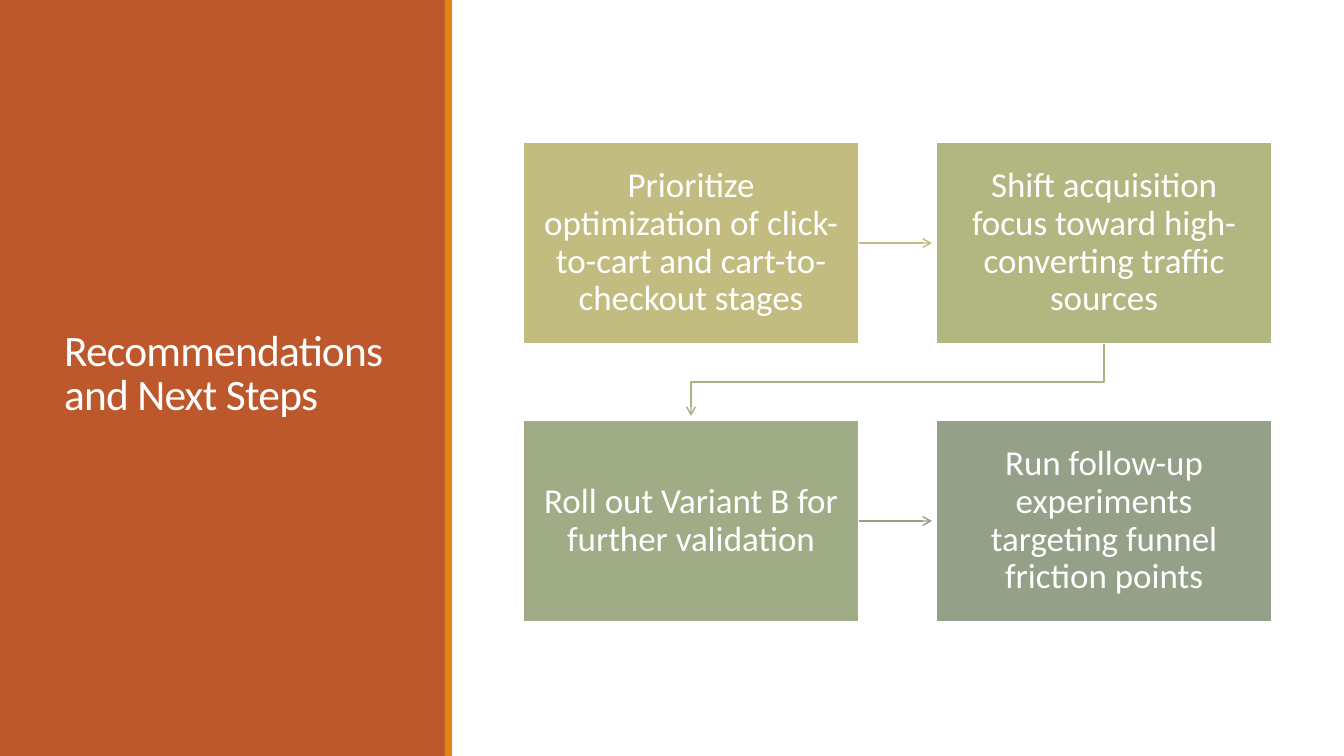
"""Build the Recommendations and Next Steps slide: a title panel and four linked steps."""
from pptx import Presentation
from pptx import util as u
from pptx.dml.color import RGBColor
from pptx.enum import shapes, text
from pptx.oxml.ns import qn
from lxml import etree

TITLE = "Recommendations and Next Steps"
STEPS = [
    ("Prioritize optimization of click-to-cart and cart-to-checkout stages", "C2BC80"),
    ("Shift acquisition focus toward high-converting traffic sources", "B2B782"),
    ("Roll out Variant B for further validation", "A0AC85"),
    ("Run follow-up experiments targeting funnel friction points", "94A088"),
]
ROW_ARROWS = [(0, "C2BC80"), (2, "94A088")]
TURN_COLOR = "A8B283"
WHITE, PANEL, STRIPE = "FFFFFF", "BD582C", "E48312"
FONT = "Calibri"

SLIDE_SIZE = (1344, 756)
PANEL_BOX = (0, 0, 446, 756)
STRIPE_BOX = (445, 0, 7, 756)
TITLE_BOX = (54, 57, 340, 636)
GRID_LEFT, GRID_TOP = 523, 142
STEP_WIDTH, STEP_HEIGHT = 336, 202
COLUMN_PITCH, ROW_PITCH = 413, 278
ARROW_GAP = 4
COLUMNS = 2


def px(value):
    return round(value * 914400 / 100.8)


def color(value):
    return RGBColor.from_string(value)


def assign(target, **values):
    for name, value in values.items():
        setattr(target, name, value)


def add_box(slide, box, fill, outline=None):
    shape = slide.shapes.add_shape(shapes.MSO_SHAPE.RECTANGLE, *map(px, box))
    shape.shadow.inherit = False
    shape.fill.solid()
    shape.fill.fore_color.rgb = color(fill)
    if outline:
        shape.line.color.rgb = color(outline)
        shape.line.width = u.Pt(1.25)
    else:
        shape.line.fill.background()
    return shape


def write(shape, words, size, frame_format, paragraph_format):
    frame = shape.text_frame
    assign(frame, word_wrap=True, auto_size=text.MSO_AUTO_SIZE.NONE,
           vertical_anchor=text.MSO_ANCHOR.MIDDLE, **frame_format)
    paragraph = frame.paragraphs[0]
    assign(paragraph, **paragraph_format)
    run = paragraph.add_run()
    run.text = words
    assign(run.font, name=FONT, size=u.Pt(size))
    run.font.color.rgb = color(WHITE)
    return run


def style_arrow(shape, stroke):
    shape.line.color.rgb = color(stroke)
    shape.line.width = u.Pt(1)
    line = shape.line._get_or_add_ln()
    etree.SubElement(line, qn("a:tailEnd"), type="arrow")
    properties = shape.element.spPr
    if properties.find(qn("a:effectLst")) is None:
        etree.SubElement(properties, qn("a:effectLst"))


def add_title(slide, panel):
    title = slide.shapes.title
    panel.element.addnext(title.element)
    assign(title, **dict(zip(("left", "top", "width", "height"), map(px, TITLE_BOX))))
    run = write(title, TITLE, 31, {},
                {"alignment": text.PP_ALIGN.LEFT, "line_spacing": 0.85})
    run.font._element.set("spc", "-50")


def add_step(slide, index, words, fill):
    row, column = divmod(index, COLUMNS)
    left, top = GRID_LEFT + column * COLUMN_PITCH, GRID_TOP + row * ROW_PITCH
    step = add_box(slide, (left, top, STEP_WIDTH, STEP_HEIGHT), fill, WHITE)
    side, end = px(16), px(17)
    write(step, words, 25,
          {"margin_left": side, "margin_right": side,
           "margin_top": end, "margin_bottom": end},
          {"alignment": text.PP_ALIGN.CENTER, "line_spacing": 0.9})
    return step


def add_row_arrow(slide, source, target, stroke):
    middle = source.top + source.height // 2
    arrow = slide.shapes.add_connector(
        shapes.MSO_CONNECTOR.STRAIGHT, source.left + source.width, middle,
        target.left - px(ARROW_GAP), middle)
    arrow.begin_connect(source, 3)
    style_arrow(arrow, stroke)


def add_turn_arrow(slide, source, target):
    start_x = source.left + source.width // 2
    end_x = target.left + target.width // 2
    bottom = source.top + source.height
    turn_y = (bottom + target.top) // 2
    builder = slide.shapes.build_freeform(start_x, bottom)
    builder.add_line_segments(
        [(start_x, turn_y), (end_x, turn_y), (end_x, target.top - px(ARROW_GAP))],
        close=False)
    arrow = builder.convert_to_shape()
    arrow.fill.background()
    arrow.shadow.inherit = False
    style_arrow(arrow, TURN_COLOR)


def main():
    presentation = Presentation()
    presentation.slide_width, presentation.slide_height = map(px, SLIDE_SIZE)
    slide = presentation.slides.add_slide(presentation.slide_layouts[5])
    panel = add_box(slide, PANEL_BOX, PANEL)
    add_title(slide, panel)
    add_box(slide, STRIPE_BOX, STRIPE)
    steps = [add_step(slide, index, *step) for index, step in enumerate(STEPS)]
    for index, stroke in ROW_ARROWS:
        add_row_arrow(slide, steps[index], steps[index + 1], stroke)
    add_turn_arrow(slide, steps[1], steps[2])
    presentation.save("out.pptx")


if __name__ == "__main__":
    main()
